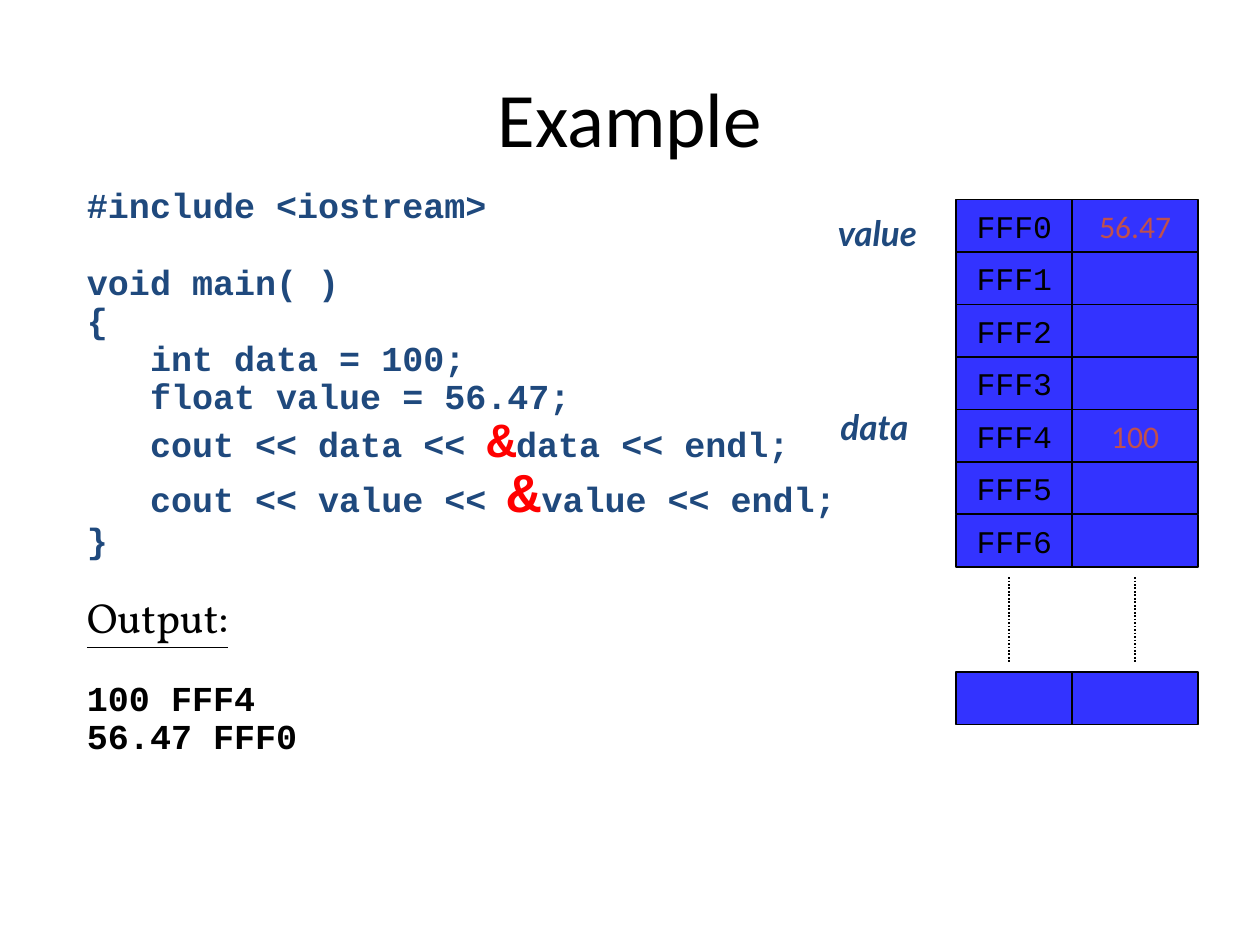
from dataclasses import dataclass

from lxml import etree
from pptx import Presentation
from pptx.dml.color import RGBColor
from pptx.enum.dml import MSO_LINE
from pptx.enum.shapes import MSO_CONNECTOR, MSO_SHAPE
from pptx.enum.text import MSO_ANCHOR, PP_ALIGN
from pptx.oxml.ns import qn
from pptx.slide import Slide
from pptx.text.text import TextFrame
from pptx.util import Inches, Pt

STRAIGHT = MSO_CONNECTOR.STRAIGHT
RECTANGLE = MSO_SHAPE.RECTANGLE
DOTTED = MSO_LINE.ROUND_DOT
MIDDLE = MSO_ANCHOR.MIDDLE
TOP = MSO_ANCHOR.TOP
CENTER = PP_ALIGN.CENTER
LEFT = PP_ALIGN.LEFT

BLACK = RGBColor(0x00, 0x00, 0x00)
NAVY = RGBColor(0x1F, 0x49, 0x7D)
RED = RGBColor(0xFF, 0x00, 0x00)
BRICK = RGBColor(0xC0, 0x50, 0x4D)
CELL_BLUE = RGBColor(0x33, 0x33, 0xFF)

ROW_HEIGHT = Inches(5) // 12
MEMORY_TOP = Inches(2) - ROW_HEIGHT
ADDRESS_LEFT = Inches(7.59)
ADDRESS_WIDTH = Inches(0.92)
VALUE_LEFT = ADDRESS_LEFT + ADDRESS_WIDTH
VALUE_WIDTH = Inches(1)
LAST_ROW = 9
GAP_INSET = Inches(0.08)


@dataclass(frozen=True)
class Style:
    font: str
    size: float
    color: RGBColor
    bold: bool = False
    italic: bool = False
    underline: bool = False


@dataclass(frozen=True)
class Line:
    spans: tuple[tuple[str, Style], ...]
    space_before: float = 5


@dataclass(frozen=True)
class Label:
    text: str
    left: float
    top: float
    width: float


TITLE = Style("Calibri", 44, BLACK)
CODE = Style("Courier New", 20, NAVY, bold=True)
OUTPUT = Style("Courier New", 20, BLACK, bold=True)
HEADING = Style("Vollkorn", 24, BLACK, underline=True)
VARIABLE = Style("Lato", 20, NAVY, bold=True, italic=True)
ADDRESS = Style("Courier New", 18, BLACK)
VALUE = Style("Calibri", 18, BRICK)


def ampersand(size: float) -> tuple[str, Style]:
    return "&", Style("Courier New", size, RED, bold=True)


LINES = (
    Line((("#include <iostream>", CODE),), 0),
    Line((("void main( )", CODE),), 27),
    Line((("{", CODE),)),
    Line((("   int data = 100;", CODE),)),
    Line((("   float value = 56.47;", CODE),)),
    Line((("   cout << data << ", CODE), ampersand(28), ("data << endl;", CODE))),
    Line((("   cout << value << ", CODE), ampersand(32), ("value << endl;", CODE))),
    Line((("}", CODE),)),
    Line((("Output:", HEADING),), 26),
    Line((("100 FFF4", OUTPUT),), 27),
    Line((("56.47 FFF0", OUTPUT),)),
)
MEMORY = (
    ("FFF0", "56.47"),
    ("FFF1", ""),
    ("FFF2", ""),
    ("FFF3", ""),
    ("FFF4", "100"),
    ("FFF5", ""),
    ("FFF6", ""),
)
LABELS = (Label("value", 6.65, 1.63, 0.93), Label("data", 6.67, 3.17, 0.75))


def apply_style(font, style: Style) -> None:
    font.name = style.font
    font.size = Pt(style.size)
    font.color.rgb = style.color
    font.bold = style.bold
    font.italic = style.italic
    font.underline = style.underline


def set_text(frame: TextFrame, text: str, style: Style, align: PP_ALIGN) -> None:
    frame.text = text
    para = frame.paragraphs[0]
    para.alignment = align
    for span in para.runs:
        apply_style(span.font, style)


def add_box(page: Slide, left: float, top: float, width: float, height: float,
            side_margin: float = 0, anchor: MSO_ANCHOR = TOP) -> TextFrame:
    box = page.shapes.add_textbox(Inches(left), Inches(top), Inches(width), Inches(height))
    frame = box.text_frame
    frame.word_wrap = True
    frame.vertical_anchor = anchor
    frame.margin_left = frame.margin_right = Inches(side_margin)
    return frame


def add_program(page: Slide) -> None:
    frame = add_box(page, 0.69, 1.5, 6.75, 4.75)
    for index, line in enumerate(LINES):
        para = frame.add_paragraph() if index else frame.paragraphs[0]
        para.line_spacing = 0.7
        para.space_before = Pt(line.space_before)
        for text, style in line.spans:
            span = para.add_run()
            span.text = text
            apply_style(span.font, style)


def add_cell(page: Slide, left: int, width: int, row: int, text: str, style: Style) -> None:
    cell = page.shapes.add_shape(RECTANGLE, left, MEMORY_TOP + row * ROW_HEIGHT, width, ROW_HEIGHT)
    cell.shadow.inherit = False
    cell.fill.solid()
    cell.fill.fore_color.rgb = CELL_BLUE
    cell.line.color.rgb = BLACK
    cell.line.width = Pt(1)
    if text:
        cell.text_frame.word_wrap = False
        cell.text_frame.vertical_anchor = MIDDLE
        set_text(cell.text_frame, text, style, CENTER)


def add_row(page: Slide, row: int, address: str, value: str) -> None:
    add_cell(page, ADDRESS_LEFT, ADDRESS_WIDTH, row, address, ADDRESS)
    add_cell(page, VALUE_LEFT, VALUE_WIDTH, row, value, VALUE)


def add_gap_line(page: Slide, x: int) -> None:
    start = MEMORY_TOP + len(MEMORY) * ROW_HEIGHT + GAP_INSET
    end = MEMORY_TOP + LAST_ROW * ROW_HEIGHT - GAP_INSET
    connector = page.shapes.add_connector(STRAIGHT, x, start, x, end)
    connector.line.color.rgb = BLACK
    connector.line.width = Pt(1)
    connector.line.dash_style = DOTTED
    etree.SubElement(connector._element.spPr, qn("a:effectLst"))


def main() -> None:
    deck = Presentation()
    deck.slide_width = Inches(10)
    deck.slide_height = Inches(7.5)
    page = deck.slides.add_slide(deck.slide_layouts[6])

    title = add_box(page, 0.5, 0.3, 9, 1.25, 0.1, MIDDLE)
    set_text(title, "Example", TITLE, CENTER)
    add_program(page)

    for row, (address, value) in enumerate(MEMORY):
        add_row(page, row, address, value)
    add_row(page, LAST_ROW, "", "")
    for x in (Inches(8.01), Inches(9.01)):
        add_gap_line(page, x)

    for label in LABELS:
        frame = add_box(page, label.left, label.top, label.width, 0.44)
        set_text(frame, label.text, VARIABLE, LEFT)

    deck.save("out.pptx")


if __name__ == "__main__":
    main()
